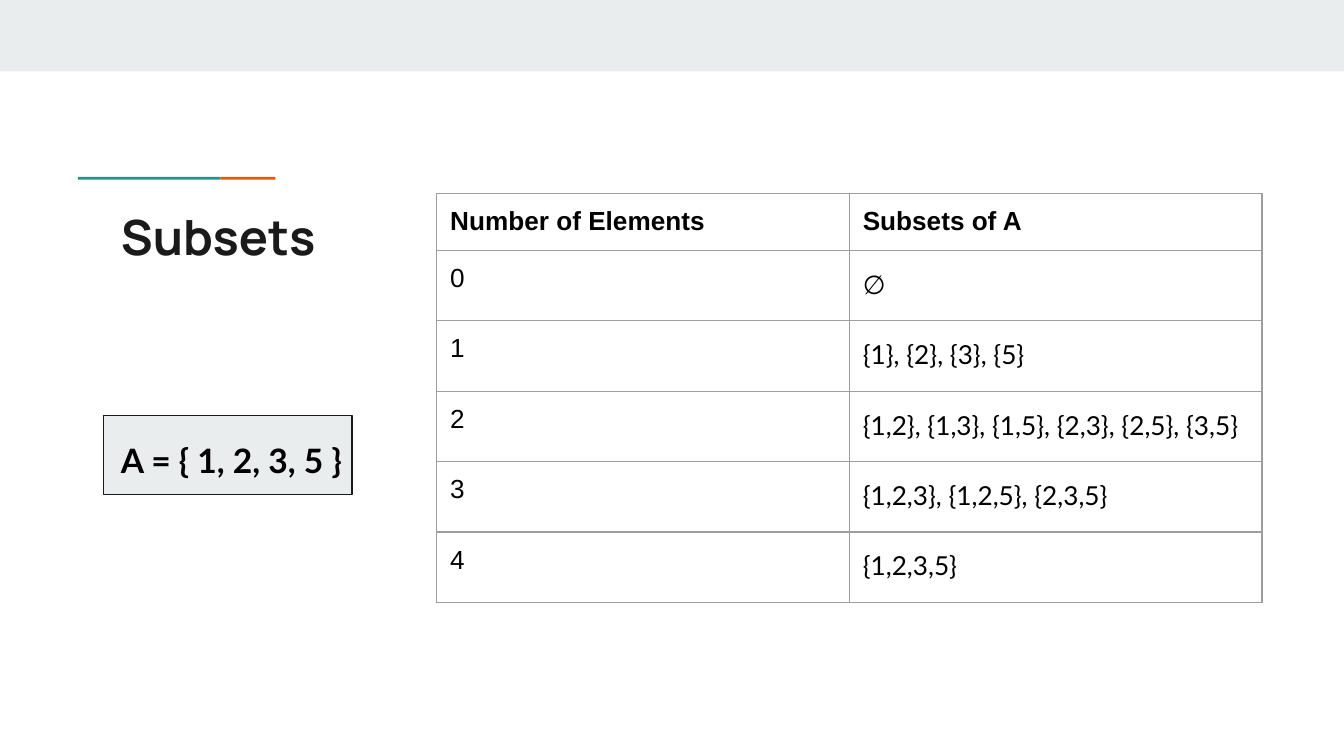
from dataclasses import dataclass
from typing import NamedTuple

from lxml.etree import SubElement
from pptx import Presentation
from pptx.dml.color import RGBColor
from pptx.enum.shapes import MSO_SHAPE as Preset
from pptx.enum.text import MSO_ANCHOR as Anchor, MSO_AUTO_SIZE as AutoSize, PP_ALIGN as Align
from pptx.oxml.ns import qn
from pptx.util import Inches, Pt

# Wide format, 16:9
WIDTH = Inches(10)
HEIGHT = WIDTH * 9 // 16


@dataclass(frozen=True)
class Theme:
    ink: str = "1A1A1A"
    black: str = "000000"
    mist: str = "E9EDEE"
    teal: str = "1A9988"
    orange: str = "EB5600"
    border: str = "9E9E9E"
    heading_font: str = "Manrope"
    body_font: str = "Lato"
    table_font: str = "Arial"
    title_size: int = 26
    body_size: int = 18
    table_size: int = 14
    line_width: float = 0.75


class Area(NamedTuple):
    """Left and width in percent of slide width; top and height of slide height."""
    left: float
    top: float
    width: float
    height: float

    def lengths(self) -> list[int]:
        sides = (WIDTH, HEIGHT, WIDTH, HEIGHT)
        return [round(side * share / 100) for side, share in zip(sides, self)]


class Block(NamedTuple):
    area: Area
    fill: str
    line: str | None = None


class TextStyle(NamedTuple):
    font: str
    size: int
    color: str
    bold: bool = False
    listed: bool = False


THEME = Theme()
TITLE = TextStyle(THEME.heading_font, THEME.title_size, THEME.ink, True)
BODY = TextStyle(THEME.body_font, THEME.body_size, THEME.black, True, True)
HEADER = TextStyle(THEME.table_font, THEME.table_size, THEME.black, True)
COUNT = HEADER._replace(bold=False)
SUBSET = COUNT._replace(font=THEME.body_font, listed=True)

BLOCKS = [
    Block(Area(0, 0, 100, 9.45), THEME.mist),                    # top band
    Block(Area(5.8, 23.4, 10.6, 0.36), THEME.teal),              # accent line
    Block(Area(16.4, 23.4, 4.1, 0.36), THEME.orange),
    Block(Area(7.7, 54.95, 18.5, 10.45), THEME.mist, THEME.ink),  # frame of the set
]
TABLE_LEFT, TABLE_TOP, COLUMN_WIDTH = 32.5, 25.6, 30.7
HEADER_HEIGHT, ROW_HEIGHT = 7.53, 9.31
HEADINGS = ("Number of Elements", "Subsets of A")
SUBSETS = [
    "∅",
    "{1}, {2}, {3}, {5}",
    "{1,2}, {1,3}, {1,5}, {2,3}, {2,5}, {3,5}",
    "{1,2,3}, {1,2,5}, {2,3,5}",
    "{1,2,3,5}",
]


def set_all(target: object, values: dict) -> None:
    for name, value in values.items():
        setattr(target, name, value)


def draw_block(page, block: Block) -> None:
    shape = page.shapes.add_shape(Preset.RECTANGLE, *block.area.lengths())
    shape.shadow.inherit = False
    shape.fill.solid()
    shape.fill.fore_color.rgb = RGBColor.from_string(block.fill)
    if block.line:
        shape.line.color.rgb = RGBColor.from_string(block.line)
        shape.line.width = Pt(THEME.line_width)
    else:
        shape.line.fill.background()


def write(frame, text: str, style: TextStyle) -> None:
    para = frame.paragraphs[0]
    set_all(para, {"alignment": Align.LEFT, "space_before": Pt(0),
                   "line_spacing": 1.15 if style.listed else 1.0,
                   "space_after": Pt(16 if style.listed else 0)})
    span = para.add_run()
    span.text = text
    set_all(span.font, {"name": style.font, "size": Pt(style.size), "bold": style.bold})
    span.font.color.rgb = RGBColor.from_string(style.color)


def set_margins(target: object) -> None:
    sides = ("margin_left", "margin_top", "margin_right", "margin_bottom")
    set_all(target, dict.fromkeys(sides, Inches(0.1)))


def fill_placeholder(box, area: Area, text: str, style: TextStyle) -> None:
    set_all(box, dict(zip(("left", "top", "width", "height"), area.lengths())))
    set_margins(box.text_frame)
    set_all(box.text_frame, {"word_wrap": True, "auto_size": AutoSize.NONE,
                             "vertical_anchor": Anchor.TOP})
    write(box.text_frame, text, style)
    # No bullet and no hanging indent
    properties = box.text_frame.paragraphs[0]._p.get_or_add_pPr()
    properties.set("marL", "0")
    properties.set("indent", "0")
    SubElement(properties, qn("a:buNone"))


def fill_cell(cell, text: str, style: TextStyle) -> None:
    set_margins(cell)
    cell.vertical_anchor = Anchor.TOP
    write(cell.text_frame, text, style)
    properties = cell._tc.get_or_add_tcPr()
    for side in ("lnL", "lnR", "lnT", "lnB"):
        line = SubElement(properties, qn(f"a:{side}"), w=str(Pt(THEME.line_width)))
        paint = SubElement(line, qn("a:solidFill"))
        SubElement(paint, qn("a:srgbClr"), val=THEME.border)
    cell.fill.background()


def draw_table(page) -> None:
    rows = [HEADINGS, *((str(count), text) for count, text in enumerate(SUBSETS))]
    area = Area(TABLE_LEFT, TABLE_TOP, COLUMN_WIDTH * len(HEADINGS),
                HEADER_HEIGHT + ROW_HEIGHT * len(SUBSETS))
    table = page.shapes.add_table(len(rows), len(HEADINGS), *area.lengths()).table
    set_all(table, {"first_row": False, "horz_banding": False})
    for column in table.columns:
        column.width = round(WIDTH * COLUMN_WIDTH / 100)
    for index, texts in enumerate(rows):
        share = ROW_HEIGHT if index else HEADER_HEIGHT
        table.rows[index].height = round(HEIGHT * share / 100)
        styles = (COUNT, SUBSET) if index else (HEADER, HEADER)
        for column, (text, style) in enumerate(zip(texts, styles)):
            fill_cell(table.cell(index, column), text, style)


def main() -> None:
    deck = Presentation()
    set_all(deck, {"slide_width": WIDTH, "slide_height": HEIGHT})
    page = deck.slides.add_slide(deck.slide_layouts[1])
    title, body = page.placeholders

    # Band, accent line and frame
    for block in BLOCKS:
        draw_block(page, block)

    # Title and set, brought in front of the blocks
    fill_placeholder(title, Area(8, 25.6, 84.1, 10.5), "Subsets", TITLE)
    fill_placeholder(body, Area(8, 55.65, 19.1, 9.07), "A = { 1, 2, 3, 5 }", BODY)
    for box in (title, body):
        page.shapes._spTree.append(box._element)

    # Subsets by number of elements
    draw_table(page)
    deck.save("out.pptx")


if __name__ == "__main__":
    main()
